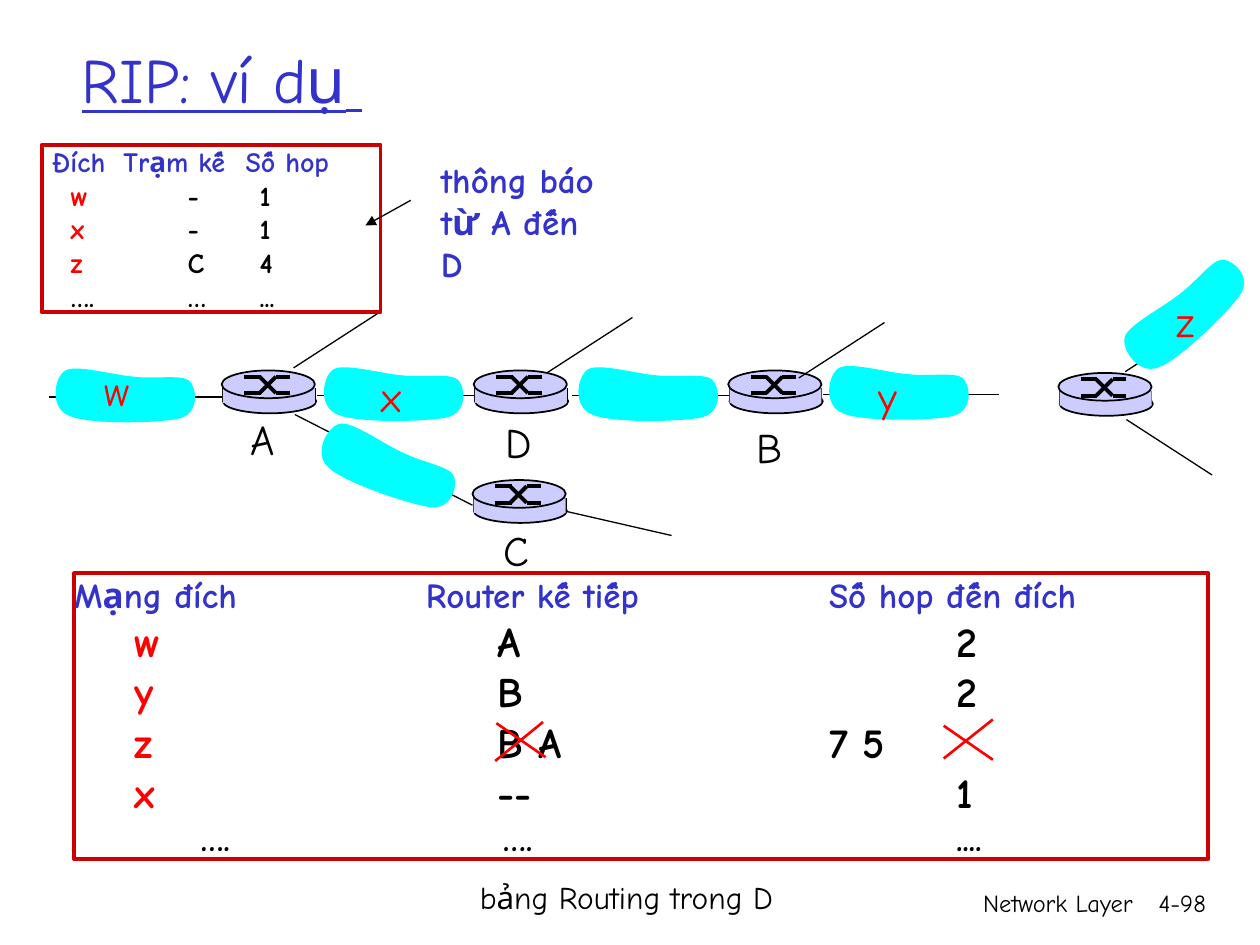
from lxml.etree import SubElement
from pptx import Presentation
from pptx.dml.color import RGBColor
from pptx.enum.shapes import MSO_CONNECTOR as Connector, MSO_SHAPE as Shape
from pptx.enum.text import MSO_ANCHOR as Anchor, MSO_AUTO_SIZE as AutoSize, PP_ALIGN as Align
from pptx.oxml.ns import qn
from pptx.util import Inches, Pt

FONT = "Comic Neue"
BLACK, RED, BLUE = "000000", "FF0000", "3333CC"
FRAME, CYAN, LAVENDER = "CC0000", "00FFFF", "CCCCFF"

ROUTERS = [(1.76, 2.94), (3.76, 2.94), (3.75, 3.81), (5.78, 2.94), (8.4, 2.96)]
ROUTER_MARKS = [
    (0.18, 0.05, 0.31, 0.05), (0.43, 0.18, 0.54, 0.18), (0.3, 0.05, 0.43, 0.18),
    (0.18, 0.18, 0.31, 0.18), (0.43, 0.05, 0.54, 0.05), (0.3, 0.18, 0.43, 0.05),
]
CLOUDS = [
    (2.52, 2.88, 0), (0.39, 2.89, 0), (4.54, 2.88, 0),
    (6.53, 2.87, 0), (2.48, 3.46, 19.7), (8.8, 2.25, 316.8),
]
CLOUD_CURVE = [
    (0.68, 0.1), (0.52, 0.09), (0.22, 0), (0.13, 0.05), (0.04, 0.1),
    (0, 0.35), (0.16, 0.41), (0.31, 0.48), (0.88, 0.47), (1.04, 0.43),
    (1.2, 0.38), (1.17, 0.18), (1.11, 0.13), (1.05, 0.08), (0.84, 0.12), (0.68, 0.1),
]
LINKS = [(2.52, 3.14), (4.54, 3.14), (0.39, 3.15), (6.53, 3.13)]
BRANCHES = [
    (2.33, 2.92, 3.01, 2.48), (4.34, 2.96, 5.02, 2.52), (6.34, 3, 7.02, 2.56),
    (8.93, 2.95, 9.61, 2.51), (8.94, 3.33, 9.62, 3.77), (2.34, 3.29, 3.75, 4.01),
    (4.5, 4.06, 5.33, 4.25),
]
STRIKES = [
    (3.94, 5.74, 4.33, 6.01), (3.93, 6.04, 4.31, 5.73),
    (7.49, 5.76, 7.88, 6.03), (7.49, 6.02, 7.88, 5.71),
]
LABELS = [
    ("w", 0.73, 2.84, 0.4, RED), ("x", 2.93, 2.89, 0.36, RED),
    ("y", 6.87, 2.89, 0.35, RED), ("z", 9.24, 2.3, 0.34, RED),
    ("A", 1.89, 3.23, 0.39, BLACK), ("C", 3.9, 4.11, 0.4, BLACK),
    ("D", 3.91, 3.26, 0.41, BLACK), ("B", 5.91, 3.3, 0.4, BLACK),
]


def color(value):
    """Turn a hex string into a colour."""
    return RGBColor.from_string(value)


def add_run(paragraph, text, size=24, ink=BLACK, bold=False, underline=False):
    """Append formatted text to a paragraph."""
    run = paragraph.add_run()
    run.text = text
    font = run.font
    font.name, font.size, font.bold, font.underline = FONT, Pt(size), bold, underline
    font.color.rgb = color(ink)


def add_text(slide, text, left, top, width, height, align=Align.LEFT, wrap=False, **style):
    """Add a text box with one paragraph per line of text."""
    frame = slide.shapes.add_textbox(*map(Inches, (left, top, width, height))).text_frame
    frame.word_wrap = wrap
    frame.auto_size = AutoSize.NONE if wrap else AutoSize.SHAPE_TO_FIT_TEXT
    for index, line in enumerate(text.split("\n")):
        paragraph = frame.add_paragraph() if index else frame.paragraphs[0]
        paragraph.alignment = align
        add_run(paragraph, line, **style)


def add_line(slide, start_x, start_y, end_x, end_y, ink=BLACK, width=0.75, arrow=False):
    """Add a straight line, with an arrowhead at its end if asked."""
    ends = map(Inches, (start_x, start_y, end_x, end_y))
    line = slide.shapes.add_connector(Connector.STRAIGHT, *ends)
    line.line.color.rgb = color(ink)
    line.line.width = Pt(width)
    if arrow:
        SubElement(line.line._get_or_add_ln(), qn("a:tailEnd"), type="triangle")
    SubElement(line._element.spPr, qn("a:effectLst"))


def add_block(slide, kind, left, top, width, height, fill=None, line=None, line_width=1):
    """Add a preset shape with optional fill and outline."""
    shape = slide.shapes.add_shape(kind, *map(Inches, (left, top, width, height)))
    shape.shadow.inherit = False
    if fill:
        shape.fill.solid()
        shape.fill.fore_color.rgb = color(fill)
    else:
        shape.fill.background()
    if line:
        shape.line.color.rgb = color(line)
        shape.line.width = Pt(line_width)
    else:
        shape.line.fill.background()
    return shape


def add_router(slide, left, top):
    """Draw a router as a flat cylinder with crossed paths on its lid."""
    add_block(slide, Shape.OVAL, left + 0.01, top + 0.15, 0.74, 0.19, LAVENDER, BLACK)
    for side in (left + 0.01, left + 0.74):
        add_line(slide, side, top + 0.14, side, top + 0.25, width=1)
    add_block(slide, Shape.RECTANGLE, left + 0.01, top + 0.14, 0.73, 0.12, LAVENDER)
    add_block(slide, Shape.OVAL, left, top, 0.74, 0.22, LAVENDER, BLACK)
    for x1, y1, x2, y2 in ROUTER_MARKS:
        add_line(slide, left + x1, top + y1, left + x2, top + y2, width=2.25)


def add_cloud(slide, left, top, rotation):
    """Draw a network as a closed outline of Bezier curves."""
    points = [(Inches(left + x), Inches(top + y)) for x, y in CLOUD_CURVE]
    builder = slide.shapes.build_freeform(*points[0])
    builder.add_line_segments(points[1:], close=True)
    shape = builder.convert_to_shape()
    segments = list(shape._element.iter(qn("a:lnTo")))
    for index in range(0, 15, 3):
        curve = SubElement(segments[index].getparent(), qn("a:cubicBezTo"))
        segments[index].addprevious(curve)
        for segment in segments[index:index + 3]:
            curve.append(segment[0])
            segment.getparent().remove(segment)
    shape.rotation = rotation
    shape.shadow.inherit = False
    shape.fill.solid()
    shape.fill.fore_color.rgb = color(CYAN)
    shape.line.fill.background()


def add_routing_box(slide, left, top, width, height, rows):
    """Add a framed box whose rows hold tab stops and formatted runs."""
    shape = add_block(slide, Shape.RECTANGLE, left, top, width, height, None, FRAME, 2.25)
    frame = shape.text_frame
    frame.margin_left = frame.margin_right = frame.margin_top = frame.margin_bottom = 0
    frame.vertical_anchor = Anchor.TOP
    frame.word_wrap = True
    for index, (stops, size, runs) in enumerate(rows):
        paragraph = frame.add_paragraph() if index else frame.paragraphs[0]
        paragraph.alignment = Align.LEFT
        tabs = SubElement(paragraph._p.get_or_add_pPr(), qn("a:tabLst"))
        for stop in stops:
            SubElement(tabs, qn("a:tab"), pos=str(Inches(stop)), algn="l")
        for text, ink in runs:
            add_run(paragraph, text, size=size, ink=ink, bold=True)


def network_row(stops, size, network, *values):
    """Describe a row with a red network name and black values."""
    return stops, size, [("\t" + network, RED), ("\t" + "\t".join(values), BLACK)]


def main():
    """Build the slide."""
    presentation = Presentation()
    presentation.slide_width, presentation.slide_height = Inches(10), Inches(7.5)
    slide = presentation.slides.add_slide(presentation.slide_layouts[5])

    title = slide.shapes.title
    title.left, title.top, title.width, title.height = map(Inches, (0.55, 0, 8.5, 1.25))
    title.text_frame.vertical_anchor = Anchor.MIDDLE
    title.text_frame.auto_size = AutoSize.NONE
    heading = title.text_frame.paragraphs[0]
    heading.alignment = Align.LEFT
    add_run(heading, "RIP: ví dụ", size=36, ink=BLUE, underline=True)
    add_run(heading, " ", size=28, ink=BLUE, underline=True)

    add_text(slide, "Network Layer", 5.92, 7, 3.17, 0.5, Align.RIGHT, True, size=14)
    add_text(slide, "4-98", 8.93, 7, 0.74, 0.5, Align.RIGHT, True, size=14)

    stops = (0.48, 3.36, 7)
    add_routing_box(slide, 0.59, 4.55, 9, 2.27, [
        ((2.79, 5.99), 20, [("Mạng đích\tRouter kế tiếp\tSố hop đến đích", BLUE)]),
        network_row(stops, 24, "w", "A", "2"),
        network_row(stops, 24, "y", "B", "2"),
        network_row((0.48, 3.36, 5.99), 24, "z", "B A", "7 5"),
        network_row(stops, 24, "x", "--", "1"),
        ((1, 3.4, 7), 20, [("\t….\t….\t....", BLACK)]),
    ])
    add_text(slide, "bảng Routing trong D", 3.71, 6.92, 2.53, 0.4, size=18)

    for left, top in LINKS:
        add_line(slide, left, top, left + 1.4, top, width=1)
    for router in ROUTERS:
        add_router(slide, *router)
    for branch in BRANCHES:
        add_line(slide, *branch)
    for cloud in CLOUDS:
        add_cloud(slide, *cloud)
    for text, left, top, width, ink in LABELS:
        add_text(slide, text, left, top, width, 0.5, ink=ink)

    stops = (0.23, 1.16, 1.73)
    add_routing_box(slide, 0.33, 1.15, 2.69, 1.33, [
        ((0.08, 0.65, 1.62), 16, [("\tĐích\tTrạm kế\tSố hop", BLUE)]),
        network_row(stops, 16, "w", "-", "1"),
        network_row(stops, 16, "x", "-", "1"),
        network_row(stops, 16, "z", "C", "4"),
        (stops, 16, [("\t….\t…\t...", BLACK)]),
    ])
    add_text(slide, "thông báo\ntừ A đến D", 3.4, 1.21, 1.56, 0.77, size=20, ink=BLUE, bold=True)
    add_line(slide, 3.26, 1.59, 2.9, 1.79, arrow=True)
    for strike in STRIKES:
        add_line(slide, *strike, ink=RED, width=1.5)

    presentation.save("out.pptx")


if __name__ == "__main__":
    main()
